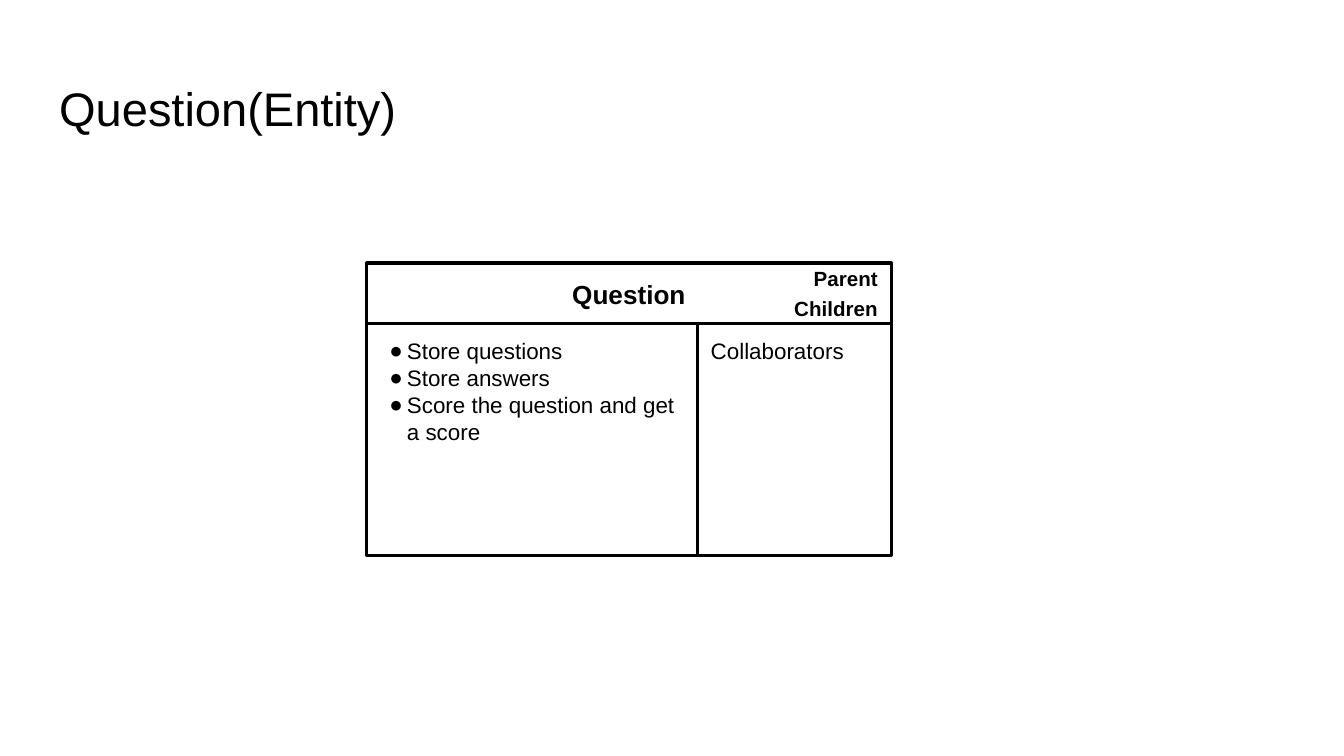
from pptx import Presentation
from pptx.util import Inches, Pt
from pptx.dml.color import RGBColor
from pptx.enum.shapes import MSO_SHAPE
from pptx.enum.text import PP_ALIGN, MSO_ANCHOR, MSO_AUTO_SIZE
from lxml.etree import SubElement
from pptx.oxml.ns import qn

TITLE = "Question(Entity)"
CARD_NAME = "Question"
RELATIVES = ["Parent", "Children"]
RESPONSIBILITIES = ["Store questions", "Store answers", "Score the question and get a score"]
COLLABORATORS = ["Collaborators"]

LEFT, TOP, WIDTH, HEIGHT = 2.73, 1.96, 3.9, 2.17
HEADER_HEIGHT, DUTIES_WIDTH = 0.45, 2.46
BLACK, WHITE = "000000", "FFFFFF"


def color(hex_code):
    return RGBColor.from_string(hex_code)


def write(shape, lines, size=12, bold=False, align=PP_ALIGN.LEFT, anchor=MSO_ANCHOR.TOP, bullet=None):
    frame = shape.text_frame
    frame.word_wrap = True
    frame.auto_size = MSO_AUTO_SIZE.NONE
    frame.vertical_anchor = anchor
    frame.margin_left = frame.margin_right = frame.margin_top = frame.margin_bottom = Inches(0.1)
    for index, line in enumerate(lines):
        paragraph = frame.add_paragraph() if index else frame.paragraphs[0]
        paragraph.alignment = align
        run = paragraph.add_run()
        run.text = line
        run.font.name, run.font.size, run.font.bold = "Arial", Pt(size), bold
        run.font.color.rgb = color(BLACK)
        if bullet:
            properties = paragraph._p.get_or_add_pPr()
            properties.set("marL", str(Inches(0.2)))
            properties.set("indent", str(Inches(-0.13)))
            bullet_color = SubElement(properties, qn("a:buClr"))
            SubElement(bullet_color, qn("a:srgbClr"), val=BLACK)
            SubElement(properties, qn("a:buFont"), typeface="Arial")
            SubElement(properties, qn("a:buChar"), char=bullet)


def add_box(left, top, width, height, line_width=1.5):
    box = card.shapes.add_shape(MSO_SHAPE.RECTANGLE, *map(Inches, (left, top, width, height)))
    box.shadow.inherit = False
    box.fill.solid()
    box.fill.fore_color.rgb = color(WHITE)
    box.line.color.rgb = color(BLACK)
    box.line.width = Pt(line_width)
    return box


deck = Presentation()
deck.slide_width = Inches(10)
deck.slide_height = deck.slide_width * 9 // 16
slide = deck.slides.add_slide(deck.slide_layouts[5])

title = slide.shapes.title
title.left, title.top, title.width, title.height = map(Inches, (0.34, 0.49, 9.32, 0.63))
write(title, [TITLE], size=25.2)

card = slide.shapes.add_group_shape()
split = LEFT + DUTIES_WIDTH
side_width = WIDTH - DUTIES_WIDTH
body_top = TOP + HEADER_HEIGHT
body_height = HEIGHT - HEADER_HEIGHT

add_box(LEFT, TOP, WIDTH, HEIGHT, line_width=2.25)
header = add_box(LEFT, TOP, WIDTH, HEADER_HEIGHT)
write(header, [CARD_NAME], size=14, bold=True, align=PP_ALIGN.CENTER, anchor=MSO_ANCHOR.MIDDLE)

row_height = HEADER_HEIGHT / len(RELATIVES)
for row, relative in enumerate(RELATIVES):
    label = card.shapes.add_textbox(
        *map(Inches, (split, TOP + row * row_height, side_width, row_height)))
    write(label, [relative], size=11, bold=True, align=PP_ALIGN.RIGHT, anchor=MSO_ANCHOR.MIDDLE)

duties = add_box(LEFT, body_top, DUTIES_WIDTH, body_height)
write(duties, RESPONSIBILITIES, bullet="●")
partners = add_box(split, body_top, side_width, body_height)
write(partners, COLLABORATORS)

deck.save("out.pptx")
